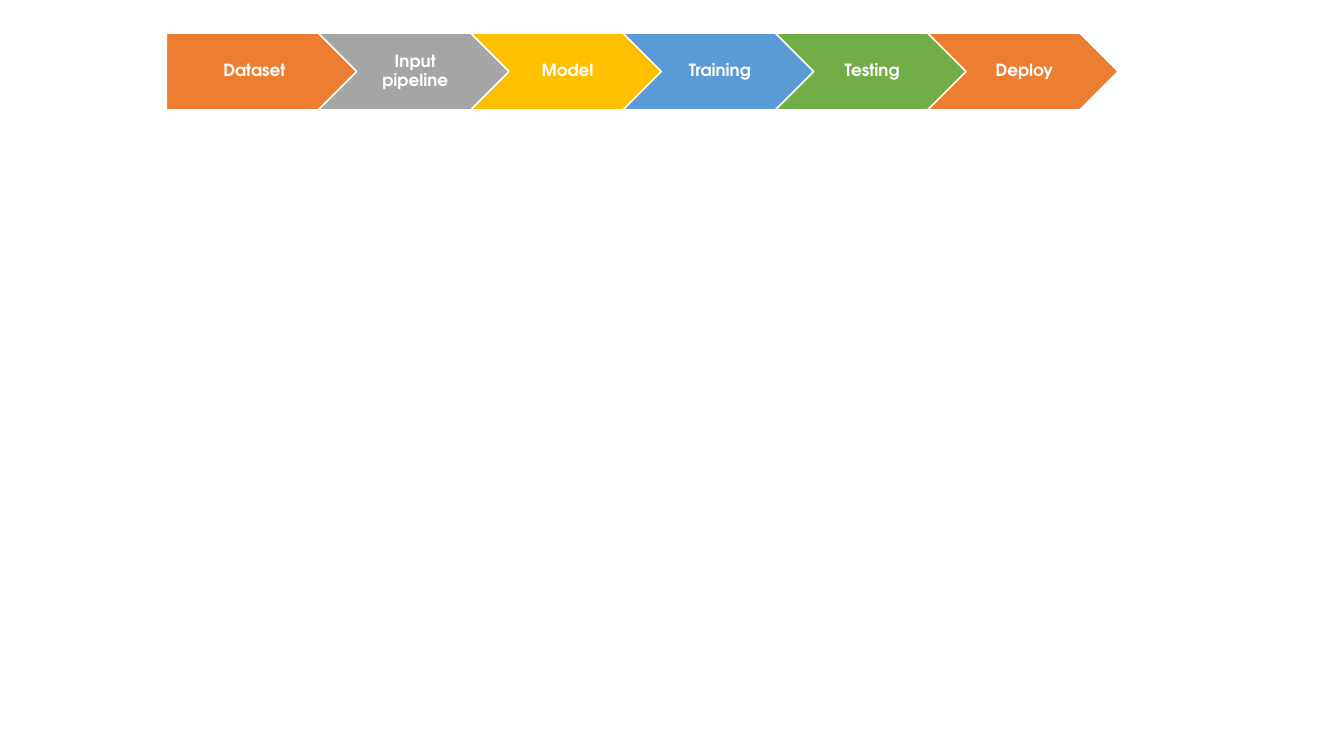
from dataclasses import dataclass

import pptx
import pptx.dml.color
import pptx.enum.shapes
import pptx.enum.text
import pptx.util
from pptx.util import Inches

SHAPES = pptx.enum.shapes.MSO_SHAPE


@dataclass(frozen=True)
class Theme:
    font: str = "TeX Gyre Adventor"
    label_size: int = 12
    line_width: int = 1
    white: str = "FFFFFF"
    orange: str = "ED7D31"
    grey: str = "A5A5A5"
    yellow: str = "FFC000"
    blue: str = "5B9BD5"
    green: str = "70AD47"


THEME = Theme()

STAGES = [
    ("Dataset", THEME.orange),
    ("Input pipeline", THEME.grey),
    ("Model", THEME.yellow),
    ("Training", THEME.blue),
    ("Testing", THEME.green),
    ("Deploy", THEME.orange),
]


def rgb(value):
    return pptx.dml.color.RGBColor.from_string(value)


def write_label(shape, label, left_inset):
    frame = shape.text_frame
    frame.word_wrap = True
    frame.vertical_anchor = pptx.enum.text.MSO_ANCHOR.MIDDLE
    frame.margin_left = Inches(left_inset)
    frame.margin_right = Inches(0.02)
    frame.margin_top = frame.margin_bottom = Inches(0.04)
    paragraph = frame.paragraphs[0]
    paragraph.text = label
    paragraph.alignment = pptx.enum.text.PP_ALIGN.CENTER
    paragraph.line_spacing = 0.9
    paragraph.font.name = THEME.font
    paragraph.font.size = pptx.util.Pt(THEME.label_size)
    paragraph.font.bold = True
    paragraph.font.color.rgb = rgb(THEME.white)


def add_process_bar(slide, left, top, width, height):
    """Chain the stages in a row; each overlaps the next by a fifth."""
    overlap = 0.2
    stage_width = width / (len(STAGES) - overlap * (len(STAGES) - 1))
    step = stage_width * (1 - overlap)
    for index, (label, color) in enumerate(STAGES):
        first = index == 0
        stage = slide.shapes.add_shape(
            SHAPES.PENTAGON if first else SHAPES.CHEVRON,
            Inches(left + index * step), Inches(top),
            Inches(stage_width), Inches(height))
        stage.shadow.inherit = False
        stage.fill.solid()
        stage.fill.fore_color.rgb = rgb(color)
        stage.line.color.rgb = rgb(THEME.white)
        stage.line.width = pptx.util.Pt(THEME.line_width)
        write_label(stage, label, 0.07 if first else 0.05)


def main():
    presentation = pptx.Presentation()
    presentation.slide_width = Inches(13.33)
    presentation.slide_height = Inches(7.5)
    slide = presentation.slides.add_slide(presentation.slide_layouts[6])
    add_process_bar(slide, left=1.65, top=0.33, width=9.44, height=0.76)
    presentation.save("out.pptx")


if __name__ == "__main__":
    main()
